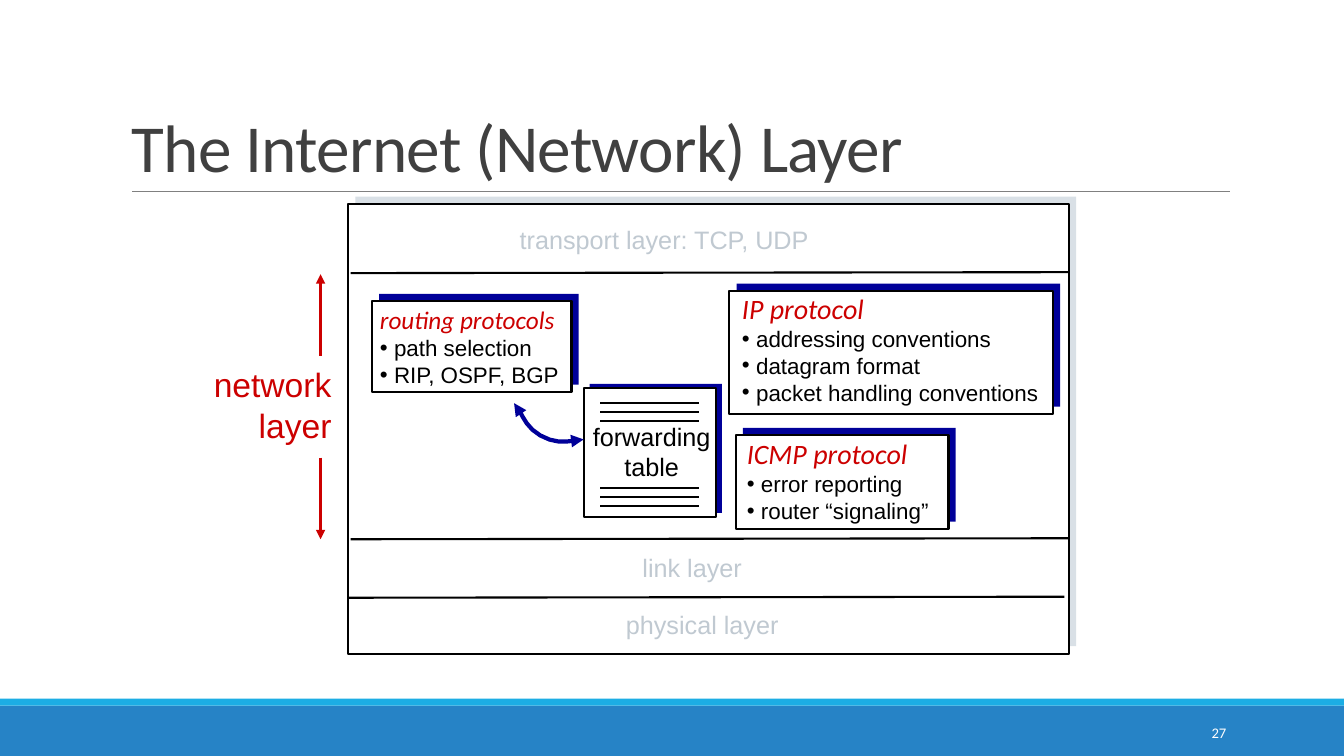
"""Builds the slide about the network layer of the Internet."""
import pptx
import pptx.dml.color
import pptx.enum.shapes
import pptx.enum.text
import pptx.oxml.ns
import pptx.util
from lxml import etree

WIDTH, HEIGHT = 13.33, 7.5
BLACK, WHITE, RED, NAVY, PALE = "000000", "FFFFFF", "CC0000", "000099", "D9E0E6"
HEADING_GREY, RULE_GREY, LABEL_GREY = "404040", "808080", "C0C9D1"

FOOTER_BANDS = [((0, 93.33, 100, 6.67), "2683C6"), ((0, 92.4, 100, 0.93), "1CADE4")]
HEADER_RULE = (9.83, 25.33, 91.55, 25.33)

STACK = (25.92, 27, 53.63, 59.47)
FORWARDING_TABLE = (43.43, 51.33, 9.83, 17.07)
CARD_SHADOW, TABLE_SHADOW = (0.53, -1), (0.45, -0.55)
CARDS = [
    ((27.68, 39.87, 14.85, 12), (-0.15, -0.3), "routing protocols", 18,
     ["path selection", "RIP, OSPF, BGP"]),
    ((54.27, 38.53, 24.08, 16.27), (0.2, -0.65), "IP protocol", 20,
     ["addressing conventions", "datagram format", "packet handling conventions"]),
    ((54.75, 57.6, 15.83, 12.4), (0.08, -0.5), "ICMP protocol", 20,
     ["error reporting", "router “signaling”"]),
]
LAYER_RULES = [(26.1, 36.13, 79.58, 36), (26.1, 71.33, 79.58, 71.2),
               (25.88, 79.07, 79.2, 78.93)]
LAYER_LABELS = [("transport layer: TCP, UDP", 49.42, 31.73),
                ("link layer", 51.5, 75.06), ("physical layer", 52.25, 82.53)]
LABEL_SIZE = (26, 5.4)
TABLE_RULE_SPAN, TABLE_RULE_STEP = (44.65, 52), 1.2
TABLE_RULE_TOPS = (53.33, 64.53)
EXTENT_ARROWS = [(23.85, 47.07, 23.85, 36.27), (23.85, 60.53, 23.85, 71.33)]
LINK_CURVES = [
    [(38.25, 53.33), (38.7, 53.73), (38.85, 56.27), (40.2, 57.6)],
    [(40.2, 57.6), (41.63, 59.07), (42.75, 58.13), (43.43, 58.13)],
]
CURVE_STEPS = 6

ALIGN = pptx.enum.text.PP_ALIGN
ANCHOR = pptx.enum.text.MSO_ANCHOR

presentation = pptx.Presentation()
presentation.slide_width = pptx.util.Inches(WIDTH)
presentation.slide_height = pptx.util.Inches(HEIGHT)
slide = presentation.slides.add_slide(presentation.slide_layouts[6])


def across(share):
    return pptx.util.Inches(WIDTH * share / 100)


def down(share):
    return pptx.util.Inches(HEIGHT * share / 100)


def place(box):
    left, top, width, height = box
    return across(left), down(top), across(width), down(height)


def color(value):
    return pptx.dml.color.RGBColor.from_string(value)


def add_child(parent, tag, **attributes):
    return etree.SubElement(parent, pptx.oxml.ns.qn(tag), attributes)


def add_rectangle(box, fill, outlined=False):
    shape = slide.shapes.add_shape(
        pptx.enum.shapes.MSO_SHAPE.RECTANGLE, *place(box))
    shape.shadow.inherit = False
    shape.fill.solid()
    shape.fill.fore_color.rgb = color(fill)
    if outlined:
        set_line(shape, BLACK, 1.5)
    else:
        shape.line.fill.background()


def add_panel(box, shadow_fill, offset=CARD_SHADOW):
    left, top, width, height = box
    add_rectangle((left + offset[0], top + offset[1], width, height), shadow_fill)
    add_rectangle(box, WHITE, outlined=True)


def set_line(shape, value, points, arrowheads=()):
    shape.line.color.rgb = color(value)
    shape.line.width = pptx.util.Pt(points)
    for end in arrowheads:
        add_child(shape.line._get_or_add_ln(), end, type="triangle")


def add_line(ends, value=BLACK, points=1.5, arrowheads=()):
    x1, y1, x2, y2 = ends
    connector = slide.shapes.add_connector(
        pptx.enum.shapes.MSO_CONNECTOR.STRAIGHT,
        across(x1), down(y1), across(x2), down(y2))
    set_line(connector, value, points, arrowheads)
    add_child(connector._element.spPr, "a:effectLst")


def add_frame(box, anchor=ANCHOR.TOP):
    frame = slide.shapes.add_textbox(*place(box)).text_frame
    frame.word_wrap = True
    frame.vertical_anchor = anchor
    return frame


def add_paragraph(frame, text, size, value, font="Arial", align=ALIGN.LEFT,
                  italic=False, bullet=False):
    paragraph = frame.paragraphs[0]
    if paragraph.runs:
        paragraph = frame.add_paragraph()
    paragraph.alignment = align
    if bullet:
        properties = paragraph._p.get_or_add_pPr()
        indent = pptx.util.Inches(0.14)
        properties.set("marL", str(indent))
        properties.set("indent", str(-indent))
        add_child(properties, "a:buFont", typeface="Arial")
        add_child(properties, "a:buChar", char="•")
    run = paragraph.add_run()
    run.text = text
    run.font.name = font
    run.font.size = pptx.util.Pt(size)
    run.font.italic = italic
    run.font.color.rgb = color(value)
    return paragraph


def curve_points(controls):
    for step in range(1, CURVE_STEPS + 1):
        t = step / CURVE_STEPS
        weights = ((1 - t) ** 3, 3 * t * (1 - t) ** 2, 3 * t * t * (1 - t), t ** 3)
        x, y = (sum(w * point[axis] for w, point in zip(weights, controls))
                for axis in (0, 1))
        yield across(x), down(y)


for band, fill in FOOTER_BANDS:
    add_rectangle(band, fill)
add_line(HEADER_RULE, RULE_GREY, 0.5)
title = add_paragraph(add_frame((9.05, 4.13, 82.5, 21.2), ANCHOR.BOTTOM),
                      "The Internet (Network) Layer", 48, HEADING_GREY, "Calibri")
title.line_spacing = 0.85
title.runs[0].font._element.set("spc", "-50")

add_panel(STACK, PALE)
for ends in LAYER_RULES:
    add_line(ends)
label_width, label_height = LABEL_SIZE
for text, center, middle in LAYER_LABELS:
    label_box = (center - label_width / 2, middle - label_height / 2, *LABEL_SIZE)
    add_paragraph(add_frame(label_box, ANCHOR.MIDDLE), text, 18, LABEL_GREY,
                  align=ALIGN.CENTER)

add_panel(FORWARDING_TABLE, NAVY, TABLE_SHADOW)
table_frame = add_frame((42.85, 55.07, 11.28, 9.33))
for word in ("forwarding", "table"):
    add_paragraph(table_frame, word, 18, BLACK, align=ALIGN.CENTER)
for top in TABLE_RULE_TOPS:
    for row in range(3):
        y = top + row * TABLE_RULE_STEP
        add_line((TABLE_RULE_SPAN[0], y, TABLE_RULE_SPAN[1], y))

for box, (shift_x, shift_y), heading, size, points in CARDS:
    add_panel(box, NAVY)
    left, top, width, height = box
    card_frame = add_frame((left + shift_x, top + shift_y, width + 0.5, height + 0.5))
    add_paragraph(card_frame, heading, size, RED, "Calibri", italic=True)
    for point in points:
        add_paragraph(card_frame, point, 16, BLACK, bullet=True)

start_x, start_y = LINK_CURVES[0][0]
builder = slide.shapes.build_freeform(across(start_x), down(start_y))
for controls in LINK_CURVES:
    builder.add_line_segments(list(curve_points(controls)), close=False)
link_arrow = builder.convert_to_shape()
link_arrow.shadow.inherit = False
link_arrow.fill.background()
set_line(link_arrow, NAVY, 3, ("a:headEnd", "a:tailEnd"))

extent_frame = add_frame((14.05, 47.5, 11.35, 12.13))
for word in ("network", "layer"):
    add_paragraph(extent_frame, word, 24, RED, align=ALIGN.RIGHT)
for ends in EXTENT_ARROWS:
    add_line(ends, RED, 2.25, ("a:tailEnd",))
add_paragraph(add_frame((81.25, 94.23, 10.73, 5.33), ANCHOR.MIDDLE),
              "27", 10.5, WHITE, "Calibri", ALIGN.RIGHT)

presentation.save("out.pptx")
